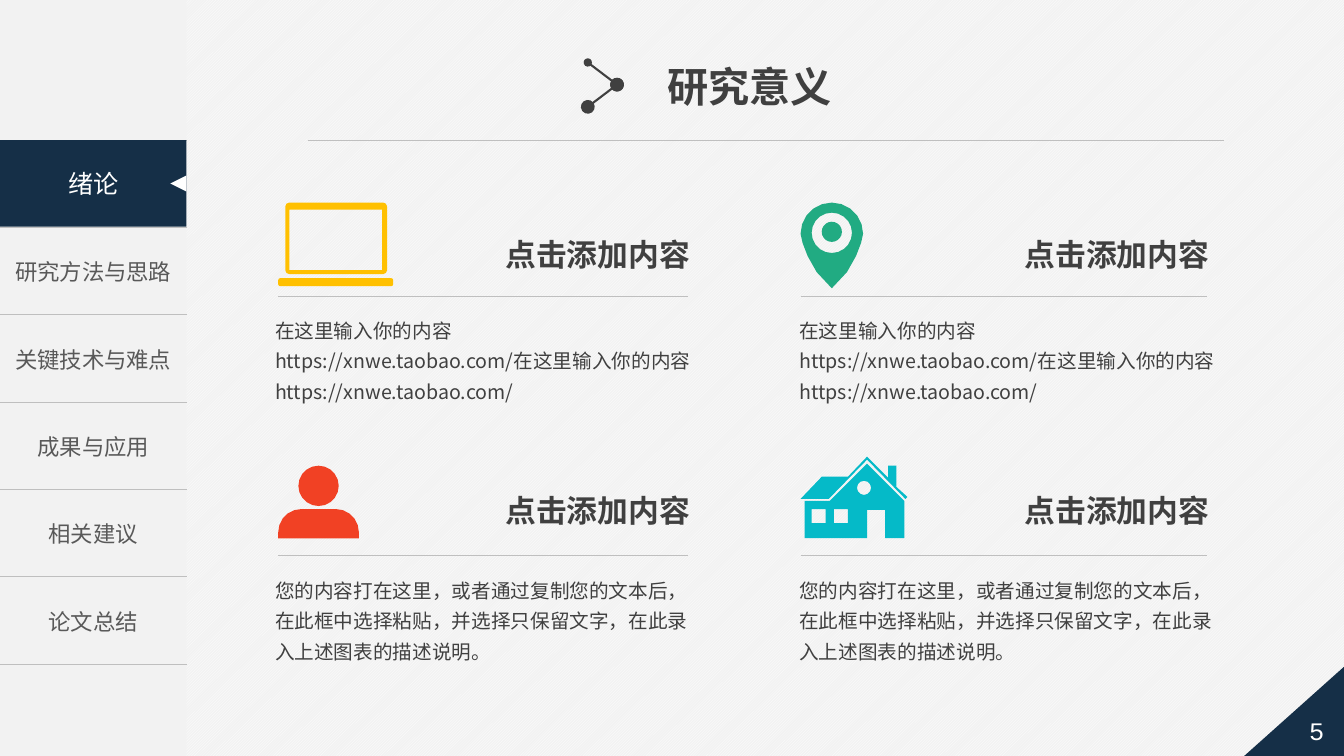
from math import cos, radians, sin

from lxml import etree
from pptx import Presentation
from pptx.dml.color import RGBColor
from pptx.enum.dml import MSO_PATTERN
from pptx.enum.shapes import MSO_CONNECTOR, MSO_SHAPE
from pptx.enum.text import MSO_ANCHOR, MSO_AUTO_SIZE, PP_ALIGN
from pptx.oxml.ns import qn
from pptx.util import Inches, Pt

LEFT, CENTER, RIGHT = PP_ALIGN.LEFT, PP_ALIGN.CENTER, PP_ALIGN.RIGHT
TOP, MIDDLE = MSO_ANCHOR.TOP, MSO_ANCHOR.MIDDLE
GROW = MSO_AUTO_SIZE.SHAPE_TO_FIT_TEXT
STRAIGHT = MSO_CONNECTOR.STRAIGHT
RECTANGLE, TRIANGLE = MSO_SHAPE.RECTANGLE, MSO_SHAPE.ISOSCELES_TRIANGLE
CORNER, PENTAGON = MSO_SHAPE.RIGHT_TRIANGLE, MSO_SHAPE.PENTAGON
DIAGONAL = MSO_PATTERN.LIGHT_UPWARD_DIAGONAL

COLORS = {
    "paper": "F2F2F2", "white": "FFFFFF", "navy": "152F47", "rule": "BFBFBF",
    "text": "404040", "menu": "595959", "yellow": "FFC000", "green": "21AB82",
    "red": "F14124", "cyan": "05BAC8",
}
CJK = "Noto Sans CJK SC"
WIDTH, HEIGHT = 13.33, 7.5
SIDEBAR, MENU_TOP, MENU_HEIGHT = 1.85, 1.39, 5.2
MENU = ["", "研究方法与思路", "关键技术与难点", "成果与应用", "相关建议", "论文总结"]
COLUMNS = [
    {"left": 2.76, "right": 6.82, "body": 2.63},
    {"left": 7.94, "right": 11.97, "body": 7.83},
]
HEADING = "点击添加内容"
LINK_TEXT = ("在这里输入你的内容 https://xnwe.taobao.com/"
             "在这里输入你的内容 https://xnwe.taobao.com/")
PASTE_TEXT = ("您的内容打在这里，或者通过复制您的文本后，在此框中选择粘贴，"
              "并选择只保留文字，在此录入上述图表的描述说明。")
ROWS = [
    {"rule": 2.94, "heading": 2.29, "body": 3.04, "height": 0.71, "text": LINK_TEXT},
    {"rule": 5.51, "heading": 4.83, "body": 5.62, "height": 1.02, "text": PASTE_TEXT},
]


def rgb(name):
    return RGBColor.from_string(COLORS[name])


def inches(*lengths):
    return [Inches(length) for length in lengths]


def write(frame, text, size=14, color="text", font=CJK, bold=False,
          align=LEFT, anchor=TOP, spacing=None, wrap=True, grow=False):
    frame.word_wrap = wrap
    frame.vertical_anchor = anchor
    if grow:
        frame.auto_size = GROW
    para = frame.paragraphs[0]
    para.alignment = align
    if spacing:
        para.line_spacing = spacing
    span = para.add_run()
    span.text = text
    span.font.size = Pt(size)
    span.font.bold = bold
    span.font.name = font
    span.font.color.rgb = rgb(color)
    etree.SubElement(span._r.get_or_add_rPr(), qn("a:ea"), typeface=CJK)


def add_text(page, place, text, **style):
    box = page.shapes.add_textbox(*inches(*place))
    write(box.text_frame, text, grow=True, **style)


def add_block(page, kind, place, color=None, flip=False):
    block = page.shapes.add_shape(kind, *inches(*place))
    block.shadow.inherit = False
    block.line.fill.background()
    if color:
        block.fill.solid()
        block.fill.fore_color.rgb = rgb(color)
    else:
        block.fill.background()
    if flip:
        block._element.spPr.find(qn("a:xfrm")).set("flipH", "1")
    return block


def add_line(page, start, end, color="rule", width=0.5, dots=()):
    line = page.shapes.add_connector(STRAIGHT, *inches(*start, *end))
    line.line.color.rgb = rgb(color)
    line.line.width = Pt(width)
    outline = line.line._get_or_add_ln()
    for tag, size in zip(("a:headEnd", "a:tailEnd"), dots):
        etree.SubElement(outline, qn(tag), type="oval", w=size, len=size)
    etree.SubElement(line._element.spPr, qn("a:effectLst"))


def arc(x, y, radius, start=0, end=360, step=18):
    angles = [radians(angle) for angle in range(start, end + 1, step)]
    return [(x + radius * cos(angle), y + radius * sin(angle)) for angle in angles]


def rounded(x, y, width, height, radius):
    right, bottom = x + width - radius, y + height - radius
    x, y = x + radius, y + radius
    centers = [(x, y), (right, y), (right, bottom), (x, bottom)]
    return [point for turn, center in enumerate(centers)
            for point in arc(*center, radius, 180 + 90 * turn, 270 + 90 * turn, 45)]


def rectangle(x, y, width, height):
    return [(x, y), (x + width, y), (x + width, y + height), (x, y + height)]


def add_icon(page, left, top, color, outlines):
    moved = [[inches(left + x, top + y) for x, y in outline] for outline in outlines]
    builder = page.shapes.build_freeform(*moved[0][0])
    for index, outline in enumerate(moved):
        if index:
            builder.move_to(*outline[0])
        builder.add_line_segments(outline[1:], close=True)
    icon = builder.convert_to_shape()
    icon.shadow.inherit = False
    icon.fill.solid()
    icon.fill.fore_color.rgb = rgb(color)
    icon.line.fill.background()


def laptop():
    return [rounded(0, 0.75, 1.14, 0.08, 0.02), rounded(0.07, 0, 1.01, 0.71, 0.04),
            rectangle(0.11, 0.07, 0.92, 0.6)]


def pin():
    drop = arc(0.31, 0.31, 0.31, 180, 360) + [
        (0.6, 0.4), (0.55, 0.53), (0.46, 0.69), (0.31, 0.85),
        (0.16, 0.69), (0.07, 0.53), (0.02, 0.4)]
    return [drop, arc(0.31, 0.3, 0.2), arc(0.31, 0.29, 0.1)]


def person():
    shoulders = ([(0, 0.72)] + arc(0.23, 0.66, 0.23, 180, 270)
                 + arc(0.57, 0.66, 0.23, 270, 360) + [(0.8, 0.72)])
    return [shoulders, arc(0.4, 0.2, 0.2)]


def house():
    walls = [(1.03, 0.44), (0.66, 0.07), (0.29, 0.44), (0.04, 0.44), (0.04, 0.81),
             (0.66, 0.81), (0.66, 0.53), (0.84, 0.53), (0.84, 0.81), (1.03, 0.81)]
    roof = [(1.06, 0.4), (1.04, 0.42), (0.66, 0.03), (0.28, 0.42), (0, 0.42),
            (0.21, 0.2), (0.47, 0.2), (0.66, 0), (0.87, 0.21), (0.87, 0.09),
            (0.95, 0.09), (0.95, 0.3)]
    windows = [rectangle(x, 0.52, 0.14, 0.14) for x in (0.11, 0.33)]
    return [walls, *windows, arc(0.63, 0.31, 0.07, step=30), roof]


def set_borders(cell):
    properties = cell._tc.get_or_add_tcPr()
    for index, side in enumerate(("a:lnL", "a:lnR", "a:lnT", "a:lnB")):
        border = etree.Element(qn(side), w=str(Pt(1)))
        properties.insert(index, border)
        if index < 2:
            etree.SubElement(border, qn("a:noFill"))
        else:
            fill = etree.SubElement(border, qn("a:solidFill"))
            etree.SubElement(fill, qn("a:srgbClr"), val=COLORS["rule"])


def add_menu(page):
    add_block(page, RECTANGLE, (0, 0, SIDEBAR, HEIGHT), "paper")
    place = inches(0, MENU_TOP, SIDEBAR, MENU_HEIGHT)
    table = page.shapes.add_table(len(MENU), 1, *place).table
    table.first_row = table.horz_banding = False
    for row, label in enumerate(MENU):
        cell = table.cell(row, 0)
        cell.fill.background()
        set_borders(cell)
        if label:
            write(cell.text_frame, label, size=16, color="menu", align=CENTER)
            cell.vertical_anchor = MIDDLE
    active = add_block(page, RECTANGLE, (0, MENU_TOP, SIDEBAR, 0.86), "navy")
    write(active.text_frame, "绪论", size=18, color="white", align=CENTER, anchor=MIDDLE)
    pointer = add_block(page, TRIANGLE, (SIDEBAR - 0.16, 1.74, 0.16, 0.16), "white")
    pointer.rotation = 270


def add_title(page):
    title = page.shapes.title
    title.left, title.top, title.width, title.height = inches(6.52, 0.56, 1.85, 0.59)
    write(title.text_frame, "研究意义", size=29.4, font="Arial", bold=True,
          spacing=1.0, wrap=False, grow=True)
    add_line(page, (3.05, MENU_TOP), (12.14, MENU_TOP))
    joint = (6.12, 0.84)
    add_line(page, (5.83, 0.62), joint, "text", 1.5, ("med", "lg"))
    add_line(page, joint, (5.83, 1.06), "text", 1.5, ("lg", "lg"))


def add_topic(page, column, row):
    left, right = column["left"], column["right"]
    add_line(page, (left, row["rule"]), (right, row["rule"]))
    add_text(page, (right - 1.93, row["heading"], 2.05, 0.47), HEADING,
             size=22, bold=True, align=RIGHT, anchor=MIDDLE, wrap=False)
    add_text(page, (column["body"], row["body"], 4.44, row["height"]), row["text"],
             spacing=1.3)


def add_page_number(page):
    add_block(page, CORNER, (12.33, 6.58, 1.04, 0.93), "navy", flip=True)
    number = add_block(page, PENTAGON, (12.45, 6.97, 1.08, 0.55), flip=True)
    write(number.text_frame, "5", size=18, color="white", font="Courier New",
          align=CENTER, anchor=MIDDLE)


def main():
    deck = Presentation()
    deck.slide_width, deck.slide_height = inches(WIDTH, HEIGHT)
    page = deck.slides.add_slide(deck.slide_layouts[5])
    backdrop = page.background.fill
    backdrop.patterned()
    backdrop.pattern = DIAGONAL
    backdrop.fore_color.rgb = rgb("white")
    backdrop.back_color.rgb = rgb("paper")
    add_menu(page)
    add_title(page)
    for row in ROWS:
        for column in COLUMNS:
            add_topic(page, column, row)
    first, second = [column["left"] for column in COLUMNS]
    add_icon(page, first, 2.01, "yellow", laptop())
    add_icon(page, second, 2.01, "green", pin())
    add_icon(page, first, 4.62, "red", person())
    add_icon(page, second, 4.53, "cyan", house())
    add_page_number(page)
    deck.save("out.pptx")


if __name__ == "__main__":
    main()
